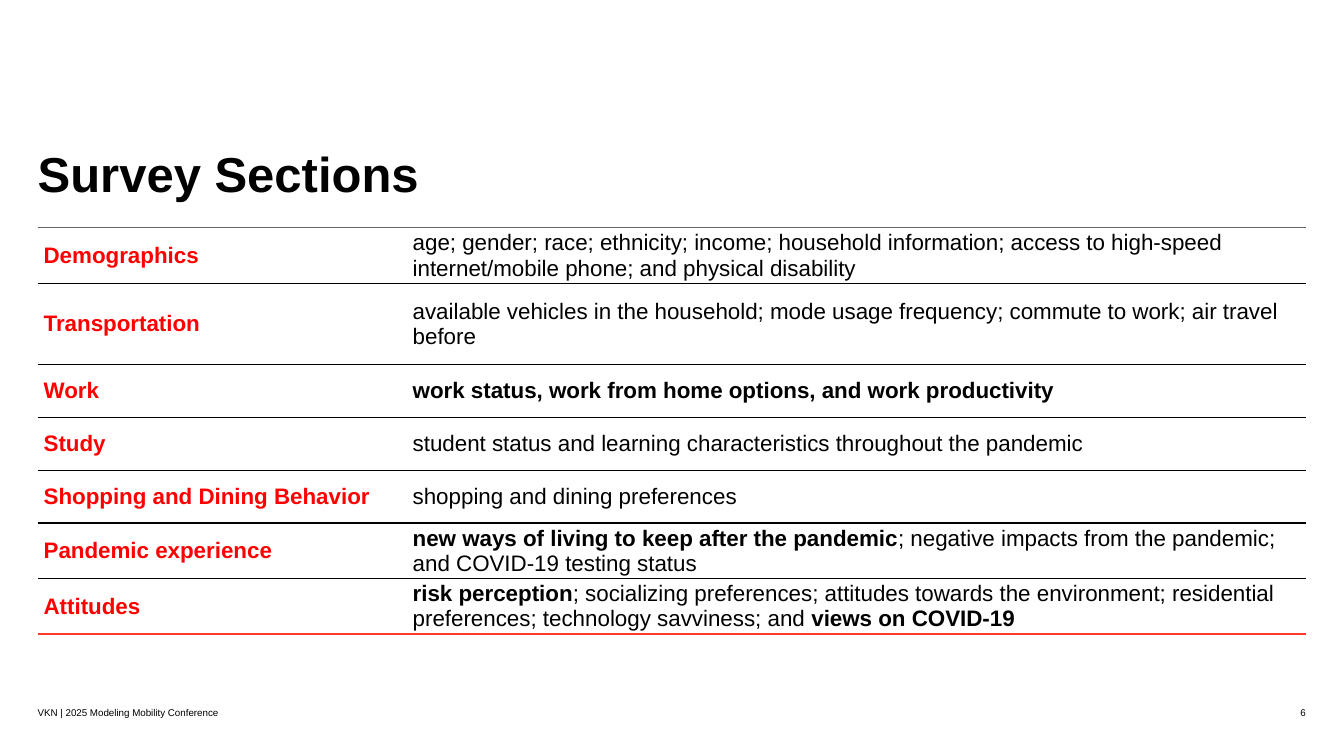
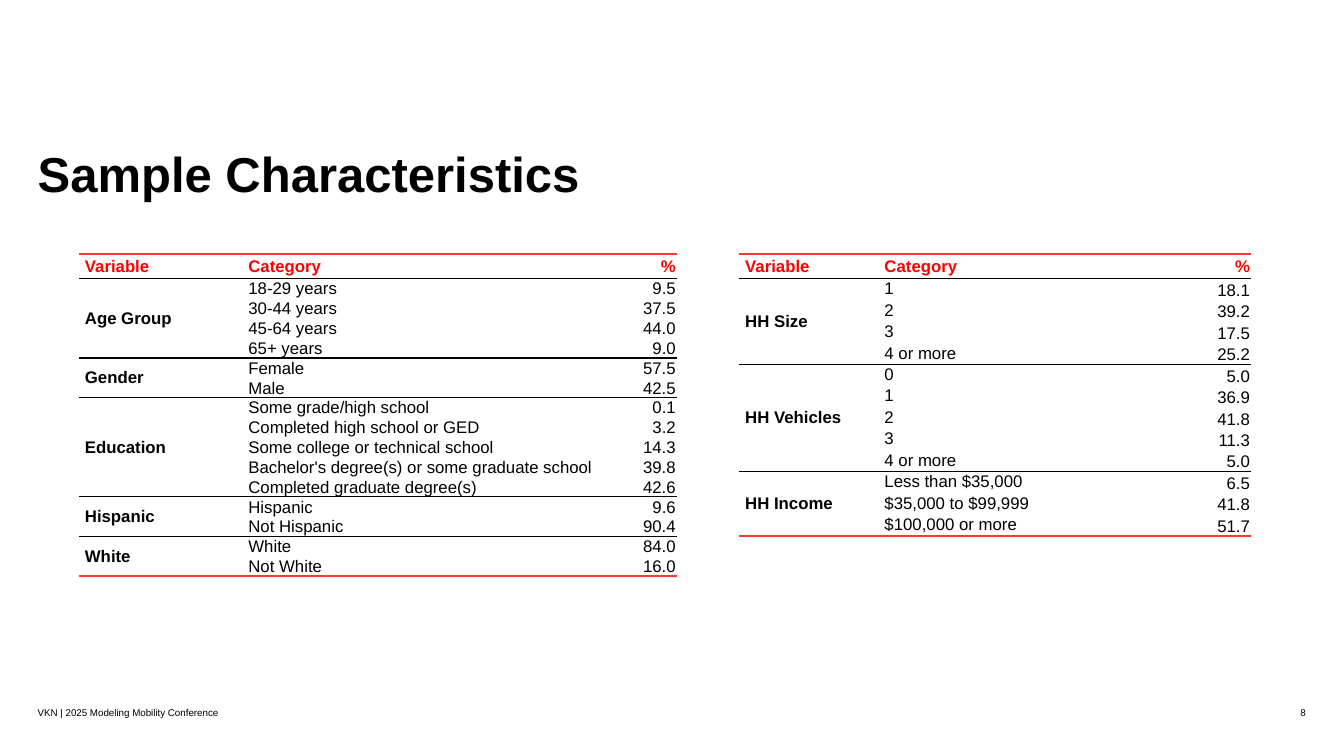
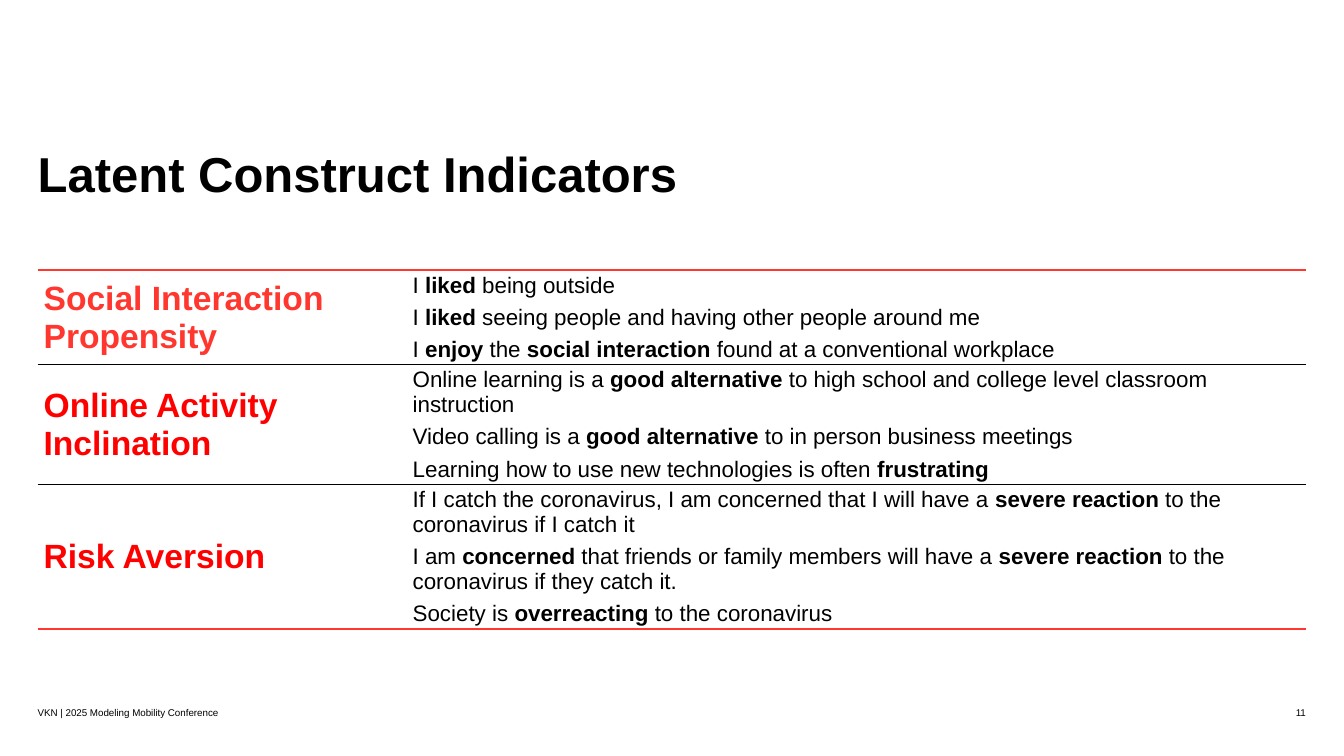
from lxml import etree
from pptx import Presentation
from pptx.dml.color import RGBColor
from pptx.enum.text import MSO_ANCHOR, PP_ALIGN
from pptx.oxml.ns import qn
from pptx.util import Cm, Pt

BLACK = RGBColor(0x00, 0x00, 0x00)
GRAY = RGBColor(0x66, 0x66, 0x66)
RED = RGBColor(0xFF, 0x00, 0x00)
CORAL = RGBColor(0xFF, 0x37, 0x2F)
FONT = "Arial"
TOP, MIDDLE, BOTTOM = MSO_ANCHOR.TOP, MSO_ANCHOR.MIDDLE, MSO_ANCHOR.BOTTOM
LEFT, RIGHT = PP_ALIGN.LEFT, PP_ALIGN.RIGHT
THIN = (BLACK, 1)
PALE = (GRAY, 1)
THICK = (CORAL, 1.5)
WIDE = (0.15, 0.06, 0.15, 0.06)
TIGHT = (0.02, 0.02, 0.02, 0)
NO_STYLE = "{2D5ABB26-0587-4C30-8999-92F81FD0307C}"
EDGE = 0.95
PITCH = 1.125
FOOTER = "VKN | 2025 Modeling Mobility Conference"

SECTIONS = [
    ("Demographics", "age; gender; race; ethnicity; income; household information; "
     "access to high-speed internet/mobile phone; and physical disability", 1.4),
    ("Transportation", "available vehicles in the household; mode usage frequency; "
     "commute to work; air travel before", 2.05),
    ("Work", "*work status, work from home options, and work productivity*", 1.33),
    ("Study", "student status and learning characteristics throughout the pandemic", 1.33),
    ("Shopping and Dining Behavior", "shopping and dining preferences", 1.33),
    ("Pandemic experience", "*new ways of living to keep after the pandemic*; "
     "negative impacts from the pandemic; and COVID-19 testing status", 1.4),
    ("Attitudes", "*risk perception*; socializing preferences; attitudes towards the "
     "environment; residential preferences; technology savviness; and *views on COVID-19*", 1.4),
]

PEOPLE = [
    ("Age Group", [("18-29 years", "9.5"), ("30-44 years", "37.5"),
                   ("45-64 years", "44.0"), ("65+ years", "9.0")]),
    ("Gender", [("Female", "57.5"), ("Male", "42.5")]),
    ("Education", [("Some grade/high school", "0.1"),
                   ("Completed high school or GED", "3.2"),
                   ("Some college or technical school", "14.3"),
                   ("Bachelor's degree(s) or some graduate school", "39.8"),
                   ("Completed graduate degree(s)", "42.6")]),
    ("Hispanic", [("Hispanic", "9.6"), ("Not Hispanic", "90.4")]),
    ("White", [("White", "84.0"), ("Not White", "16.0")]),
]

HOMES = [
    ("HH Size", [("1", "18.1"), ("2", "39.2"), ("3", "17.5"), ("4 or more", "25.2")]),
    ("HH Vehicles", [("0", "5.0"), ("1", "36.9"), ("2", "41.8"), ("3", "11.3"),
                     ("4 or more", "5.0")]),
    ("HH Income", [("Less than $35,000", "6.5"), ("$35,000 to $99,999", "41.8"),
                   ("$100,000 or more", "51.7")]),
]

TRAITS = [
    ("Social Interaction Propensity", [
        "I *liked* being outside",
        "I *liked* seeing people and having other people around me",
        "I *enjoy* the *social interaction *found at a conventional workplace"], 2.38, CORAL),
    ("Online Activity Inclination", [
        "Online learning is a *good alternative *to high school and college level "
        "classroom instruction",
        "Video calling is a *good alternative *to in person business meetings",
        "Learning how to use new technologies is often *frustrating*"], 3, RED),
    ("Risk Aversion", [
        "If I catch the coronavirus, I am concerned that I will have a *severe reaction* "
        "to the coronavirus if I catch it",
        "I am *concerned* that friends or family members will have a *severe reaction* "
        "to the coronavirus if they catch it.",
        "Society is *overreacting* to the coronavirus"], 3.64, RED),
]


def write(frame, lines, size, color=BLACK, bold=False, align=LEFT, gap=0, pitch=None):
    for i, line in enumerate(lines):
        para = frame.add_paragraph() if i else frame.paragraphs[0]
        para.alignment = align
        para.line_spacing = pitch
        if i and gap:
            para.space_before = Pt(gap)
        for j, part in enumerate(line.split("*")):
            if part:
                run = para.add_run()
                run.text = part
                font = run.font
                font.name, font.size = FONT, Pt(size)
                font.bold = bold or j % 2 == 1
                font.color.rgb = color


def enter(cell, lines, size, color=BLACK, bold=False, align=LEFT, gap=0):
    write(cell.text_frame, lines, size, color, bold, align, gap, Pt(size * PITCH))


def inset(frame, anchor):
    frame.word_wrap = True
    frame.vertical_anchor = anchor
    frame.margin_left = frame.margin_top = 0
    frame.margin_right = frame.margin_bottom = 0


def label(slide, left, width, text, align):
    box = slide.shapes.add_textbox(Cm(left), Cm(17.8), Cm(width), Cm(0.3))
    inset(box.text_frame, BOTTOM)
    write(box.text_frame, [text], 7, align=align)


def page(deck, name, number, width=13.72):
    slide = deck.slides.add_slide(deck.slide_layouts[5])
    title = slide.shapes.title
    title.left, title.top = Cm(EDGE), Cm(3.81)
    title.width, title.height = Cm(width), Cm(2.69)
    inset(title.text_frame, TOP)
    write(title.text_frame, [name], 35, bold=True, pitch=0.88)
    label(slide, EDGE, 15.93, FOOTER, LEFT)
    label(slide, 31.13, 1.78, str(number), RIGHT)
    return slide


def rule(cell, tag, line):
    color, width = line or (None, 0)
    edge = etree.SubElement(cell._tc.get_or_add_tcPr(), qn(tag), w=str(Pt(width)))
    if line:
        fill = etree.SubElement(edge, qn("a:solidFill"))
        etree.SubElement(fill, qn("a:srgbClr"), val=str(color))
    else:
        etree.SubElement(edge, qn("a:noFill"))


def style(cell, upper=None, lower=None, pad=WIDE, anchor=MIDDLE):
    for tag, line in (("a:lnL", None), ("a:lnR", None), ("a:lnT", upper), ("a:lnB", lower)):
        rule(cell, tag, line)
    cell.fill.background()
    cell.vertical_anchor = anchor
    cell.margin_left, cell.margin_top, cell.margin_right, cell.margin_bottom = map(Cm, pad)


def grid(slide, left, top, widths, heights):
    table = slide.shapes.add_table(len(heights), len(widths), Cm(left), Cm(top),
                                   Cm(sum(widths)), Cm(sum(heights))).table
    table.first_row = table.horz_banding = False
    table._tbl.tblPr.find(qn("a:tableStyleId")).text = NO_STYLE
    for col, width in zip(table.columns, widths):
        col.width = Cm(width)
    for row, height in zip(table.rows, heights):
        row.height = Cm(height)
    return table


def topics(slide, top, rows, size, first):
    table = grid(slide, EDGE, top, (9.3, 22.66), [row[2] for row in rows])
    last = len(rows) - 1
    for i, (head, lines, _, color) in enumerate(rows):
        for cell in table.rows[i].cells:
            style(cell, THIN if i else first, THICK if i == last else THIN)
        enter(table.cell(i, 0), [head], size, color, True)
        enter(table.cell(i, 1), lines, 16, gap=5)


def shares(slide, left, widths, height, groups, anchors):
    count = sum(len(items) for _, items in groups)
    table = grid(slide, left, 6.4, widths, [0.62] + [height] * count)
    for cell, text, pad, align in zip(table.rows[0].cells, ("Variable", "Category", "%"),
                                      (WIDE, TIGHT, TIGHT), (LEFT, LEFT, RIGHT)):
        style(cell, THICK, THIN, pad)
        enter(cell, [text], 12, RED, True, align)
    row = 1
    for name, items in groups:
        end = row + len(items) - 1
        close = THICK if end == count else THIN
        head = table.cell(row, 0)
        head.merge(table.cell(end, 0))
        style(head, THIN, close)
        enter(head, [name], 12, bold=True)
        for i, item in enumerate(items, row):
            upper = THIN if i == row else None
            lower = close if i == end else None
            if i > row:
                style(table.cell(i, 0), None, lower)
            for col, align in enumerate((LEFT, RIGHT)):
                cell = table.cell(i, col + 1)
                style(cell, upper, lower, TIGHT, anchors[col])
                enter(cell, [item[col]], 12, align=align)
        row = end + 1


def main():
    deck = Presentation()
    deck.slide_width, deck.slide_height = Cm(33.87), Cm(19.05)

    slide = page(deck, "Survey Sections", 6)
    rows = [(head, [text], height, RED) for head, text, height in SECTIONS]
    topics(slide, 5.74, rows, 16, PALE)

    slide = page(deck, "Sample Characteristics", 8)
    shares(slide, 1.99, (4.25, 8.79, 2.02), 0.5, PEOPLE, (MIDDLE, MIDDLE))
    shares(slide, 18.63, (3.64, 5.64, 3.61), 0.54, HOMES, (TOP, BOTTOM))

    slide = page(deck, "Latent Construct Indicators", 11, 22.23)
    topics(slide, 6.81, TRAITS, 24, THICK)

    deck.save("out.pptx")


if __name__ == "__main__":
    main()
